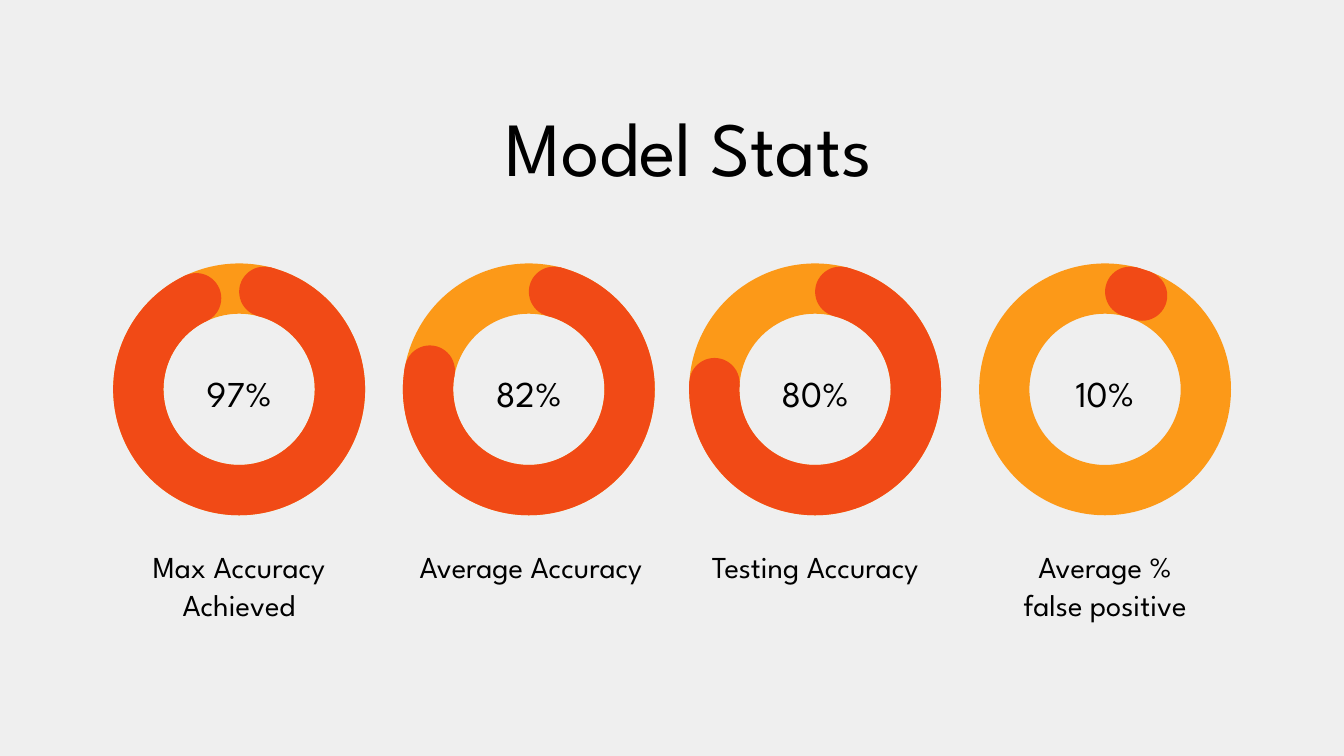
from math import asin, cos, degrees, radians, sin

from pptx import Presentation
from pptx.dml.color import RGBColor
from pptx.enum.shapes import MSO_SHAPE
from pptx.enum.text import MSO_AUTO_SIZE, PP_ALIGN
from pptx.util import Cm, Pt

COLORS = {"page": "EFEFEF", "track": "FC9918", "value": "F14A16", "text": "000000"}
FRAME_FORMAT = {
    "margin_left": 0,
    "margin_top": 0,
    "margin_right": 0,
    "margin_bottom": 0,
    "word_wrap": True,
    "auto_size": MSO_AUTO_SIZE.SHAPE_TO_FIT_TEXT,
}
TEXT_STYLES = {
    "title": {"size": 82, "spacing": 100.8},
    "percent": {"size": 39, "spacing": 54.6},
    "label": {"size": 32.6, "spacing": 40.1},
}
GAUGE_Y = 14.72
OUTER_RADIUS = 4.76
BAND = 1.9
GAUGES = [
    {"x": 9.04, "percent": 97, "lines": ["Max Accuracy Achieved"],
     "label_box": (4.27, 20.7, 9.53, 2.8)},
    {"x": 19.99, "percent": 82, "lines": ["Average Accuracy"],
     "label_box": (14.66, 20.7, 10.82, 2.8)},
    {"x": 30.81, "percent": 80, "lines": ["Testing Accuracy"],
     "label_box": (25.48, 20.7, 10.67, 1.4)},
    {"x": 41.77, "percent": 10, "lines": ["Average %", "false positive"],
     "label_box": (37.01, 20.7, 9.53, 2.8)},
]


def apply(target, values):
    """Set each named attribute on the target."""
    for name, value in values.items():
        setattr(target, name, value)


class StatsSlide:
    """Holds the style and the current slide."""

    def __init__(self, page, font="League Spartan"):
        """Keep the page and font and paint the background."""
        self.page = page
        self.font = font
        self.paint(page.background.fill, "page")

    def paint(self, fill, color):
        """Give a fill one solid colour."""
        fill.solid()
        fill.fore_color.rgb = RGBColor.from_string(COLORS[color])

    def text(self, lines, bounds, style):
        """Add centred text with one paragraph per line."""
        values = TEXT_STYLES[style]
        box = self.page.shapes.add_textbox(*map(Cm, bounds))
        frame = box.text_frame
        apply(frame, FRAME_FORMAT)
        for index, line in enumerate(lines):
            para = frame.add_paragraph() if index else frame.paragraphs[0]
            apply(para, {"alignment": PP_ALIGN.CENTER,
                         "line_spacing": Pt(values["spacing"])})
            span = para.add_run()
            span.text = line
            apply(span.font, {"name": self.font, "size": Pt(values["size"])})
            span.font.color.rgb = RGBColor.from_string(COLORS["text"])

    def round_shape(self, kind, x, y, radius, color, adjustments=()):
        """Add a plain preset shape centred on a point."""
        shape = self.page.shapes.add_shape(
            kind, Cm(x - radius), Cm(y - radius), Cm(2 * radius), Cm(2 * radius))
        for index, value in enumerate(adjustments):
            shape.adjustments[index] = value
        self.paint(shape.fill, color)
        shape.line.fill.background()
        shape.shadow.inherit = False

    def value_arc(self, x, y, percent):
        """Add the round-ended band covering a share of the ring."""
        cap = BAND / 2
        middle = OUTER_RADIUS - cap
        inset = degrees(asin(cap / middle))
        angles = [(turn - 90) % 360 for turn in (inset, 3.6 * percent - inset)]
        self.round_shape(
            MSO_SHAPE.BLOCK_ARC, x, y, OUTER_RADIUS, "value",
            [angle * 0.6 for angle in angles] + [cap / OUTER_RADIUS])
        for angle in map(radians, angles):
            self.round_shape(
                MSO_SHAPE.OVAL, x + middle * cos(angle), y + middle * sin(angle), cap, "value")

    def gauge(self, x, percent, lines, label_box):
        """Add one ring with its value, percentage and label."""
        self.text([f"{percent}%"], (x - 1.65, 13.77, 3.3, 1.78), "percent")
        self.round_shape(MSO_SHAPE.DONUT, x, GAUGE_Y, OUTER_RADIUS, "track",
                         [BAND / OUTER_RADIUS / 2])
        self.value_arc(x, GAUGE_Y, percent)
        self.text(lines, label_box, "label")


def main():
    """Build and save the deck."""
    deck = Presentation()
    apply(deck, {"slide_width": Cm(50.8), "slide_height": Cm(28.58)})
    slide = StatsSlide(deck.slides.add_slide(deck.slide_layouts[6]))
    slide.text(["Model Stats"], (8.18, 3.68, 35.71, 3.53), "title")
    for gauge in GAUGES:
        slide.gauge(**gauge)
    deck.save("out.pptx")


if __name__ == "__main__":
    main()
